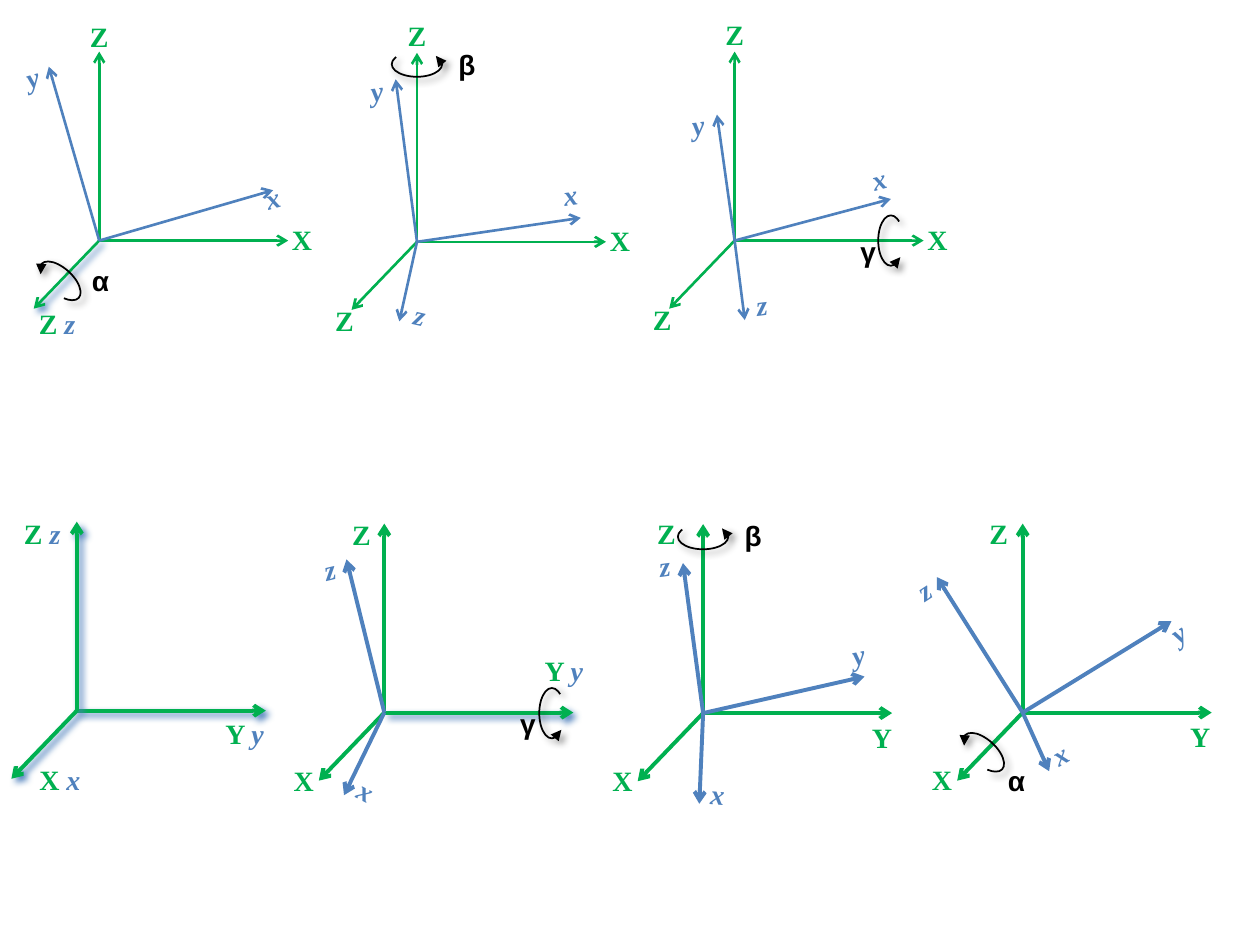
from dataclasses import dataclass

from lxml import etree
from pptx import Presentation
from pptx import util as u
from pptx.dml import color
from pptx.enum import shapes, text
from pptx.oxml import ns

GREEN, BLUE, BLACK = "00B050", "4F81BD", "000000"
AXES = {"right": (108, 0), "up": (0, -108), "front": (-37.4, 38.9)}
LABEL_WIDTHS = {"x": 22.3, "y": 21.6, "z": 20.9, "α": 24.5, "β": 23, "γ": 20.9,
                "X x": 38.2, "Y y": 37.4, "Z z": 35.3}
TURNS = {"α": (28.8, 14.4, 156.16, 35.61, 42.5),
         "β": (28.8, 14.4, 336.29, 198.89, 0),
         "γ": (14.4, 28.8, 60.43, 293.39, 0)}


def rgb(value):
    return color.RGBColor.from_string(value)


def child(parent, tag, **attributes):
    return etree.SubElement(parent, ns.qn(tag), {k: str(v) for k, v in attributes.items()})


@dataclass
class FrameSketch:
    """Draws coordinate frames on one slide, with lengths in points."""

    slide: object
    letter_font: str = "Times New Roman"
    angle_font: str = "Arial"
    size: float = 16
    label_height: float = 26.64

    def shade(self, shape, tint=None, alpha=100):
        properties = shape._element.spPr
        for old in properties.findall(ns.qn("a:effectLst")):
            properties.remove(old)
        effects = child(properties, "a:effectLst")
        if tint:
            shadow = child(effects, "a:outerShdw", blurRad=u.Pt(4), dist=u.Pt(3),
                           dir=45 * 60000, algn="tl", rotWithShape=0)
            child(child(shadow, "a:srgbClr", val=tint), "a:alpha", val=alpha * 1000)

    def stroke(self, shape, tint, weight, end, head):
        shape.line.color.rgb = rgb(tint)
        shape.line.width = u.Pt(weight)
        child(shape._element.spPr.find(ns.qn("a:ln")), end, type=head)

    def axis(self, origin, tip, tint, weight, shadow=None):
        (x, y), (dx, dy) = origin, tip
        axis = self.slide.shapes.add_connector(
            shapes.MSO_CONNECTOR.STRAIGHT, u.Pt(x), u.Pt(y), u.Pt(x + dx), u.Pt(y + dy))
        self.stroke(axis, tint, weight, "a:tailEnd", "arrow")
        self.shade(axis, shadow)

    def turn(self, origin, angle, offset):
        width, height, start, stop, tilt = TURNS[angle]
        left = origin[0] + offset[0] - width / 2
        top = origin[1] + offset[1] - height / 2
        arc = self.slide.shapes.add_shape(
            shapes.MSO_SHAPE.ARC, u.Pt(left), u.Pt(top), u.Pt(width), u.Pt(height))
        arc.adjustments[0], arc.adjustments[1] = start * 0.6, stop * 0.6
        arc.rotation = tilt
        arc.fill.background()
        self.stroke(arc, BLACK, 1, "a:headEnd", "triangle")
        self.shade(arc, BLACK, 40)

    def label(self, origin, wording, dx, dy, tilt=0):
        width = LABEL_WIDTHS.get(wording, 25.9)
        box = self.slide.shapes.add_textbox(
            u.Pt(origin[0] + dx - width / 2), u.Pt(origin[1] + dy - self.label_height / 2),
            u.Pt(width), u.Pt(self.label_height))
        box.rotation = tilt
        box.text_frame.word_wrap = False
        box.text_frame.auto_size = text.MSO_AUTO_SIZE.SHAPE_TO_FIT_TEXT
        paragraph = box.text_frame.paragraphs[0]
        paragraph.alignment = text.PP_ALIGN.CENTER
        for part in filter(None, (wording[:2], wording[2:])):
            run = paragraph.add_run()
            run.text = part
            run.font.size = u.Pt(self.size)
            run.font.bold = True
            is_angle = part in TURNS
            run.font.name = self.angle_font if is_angle else self.letter_font
            if is_angle:
                tint = BLACK
            else:
                tint = BLUE if part.islower() else GREEN
                run.font.italic = part.islower()
            run.font.color.rgb = rgb(tint)

    def frame(self, origin, weight, tips, labels, turn=None, shared=()):
        for name, tip in AXES.items():
            self.axis(origin, tip, GREEN, weight, BLUE if name in shared else None)
        for tip in tips:
            self.axis(origin, tip, BLUE, weight)
        if turn:
            self.turn(origin, *turn)
        for entry in labels:
            self.label(origin, *entry)


UPPER_ROW = [
    dict(origin=(56.7, 137.5), tips=[(99.4, -28.8), (-28.8, -99.4)],
         labels=[("Z", 0, -116.3), ("X", 115.9, -0.4), ("x", 99, -24.1, -15.7),
                 ("y", -38.2, -93.2, -15.8), ("α", 0.7, 22.7), ("Z z", -24.1, 47.2)],
         turn=("α", (-22.3, 23)), shared=("front",)),
    dict(origin=(238.3, 138.2), tips=[(93.6, -13.7), (-12.2, -92.9), (-10.1, 45.4)],
         labels=[("Z", 0, -117.7), ("X", 115.9, -0.4), ("x", 87.5, -27, -8),
                 ("y", -23, -86, -7.7), ("Z", -41.4, 45), ("z", 1.8, 42.1, 13.1),
                 ("β", 28.1, -101.2)],
         turn=("β", (0, -101.5))),
    dict(origin=(419.8, 137.5), tips=[(89.3, -23.8), (-10.1, -72), (5.8, 45.4)],
         labels=[("Z", 0, -117.7), ("X", 115.9, -0.4), ("x", 82.4, -34.9, -15.4),
                 ("y", -20.9, -65.9, -7.7), ("Z", -41.4, 45), ("z", 15.5, 37.1, -7.3),
                 ("γ", 75.2, 6.1)],
         turn=("γ", (89.3, 0))),
]
LOWER_ROW = [
    dict(origin=(43.9, 406.1), tips=[],
         labels=[("X x", -9.7, 39.2), ("Z z", -19.8, -101.2), ("Y y", 95.8, 13.3)],
         shared=tuple(AXES)),
    dict(origin=(219.6, 407.2), tips=[(-21.6, -87.5), (-23, 47.2)],
         labels=[("Z", -13, -101.5), ("Y y", 102.6, -23.8), ("z", -31.3, -81.4, -13.8),
                 ("X", -46.1, 38.9), ("x", -10.4, 44.6, 27.1), ("γ", 81, 6.5)],
         turn=("γ", (95.8, 0.4)), shared=("right",)),
    dict(origin=(401.8, 407.5), tips=[(92.2, -20.9), (-11.5, -85.7), (-2.2, 51.8)],
         labels=[("Z", -20.9, -102.6), ("Y", 102.2, 14), ("y", 88.6, -33.5, -11.6),
                 ("z", -22, -83.9, -7.7), ("X", -46.1, 38.5), ("x", 8.3, 46.4, 4.5),
                 ("β", 28.1, -101.2)],
         turn=("β", (0, -100.8))),
    dict(origin=(584.4, 407.2), tips=[(85, -52.2), (-49, -77.4), (15.1, 33.5)],
         labels=[("Z", -13.7, -102.2), ("Y", 101.5, 13.7), ("y", 88.6, -45.4, -33.7),
                 ("z", -56.5, -69.8, -33.4), ("X", -46.1, 38.2), ("x", 21.2, 23.8, -30.1),
                 ("α", -3.6, 38.9)],
         turn=("α", (-22.3, 22.7))),
]


def main():
    deck = Presentation()
    deck.slide_width, deck.slide_height = u.Pt(720), u.Pt(540)
    sketch = FrameSketch(deck.slides.add_slide(deck.slide_layouts[6]))
    for weight, row in ((1.5, UPPER_ROW), (2.25, LOWER_ROW)):
        for rotation in row:
            sketch.frame(weight=weight, **rotation)
    deck.save("out.pptx")


if __name__ == "__main__":
    main()
